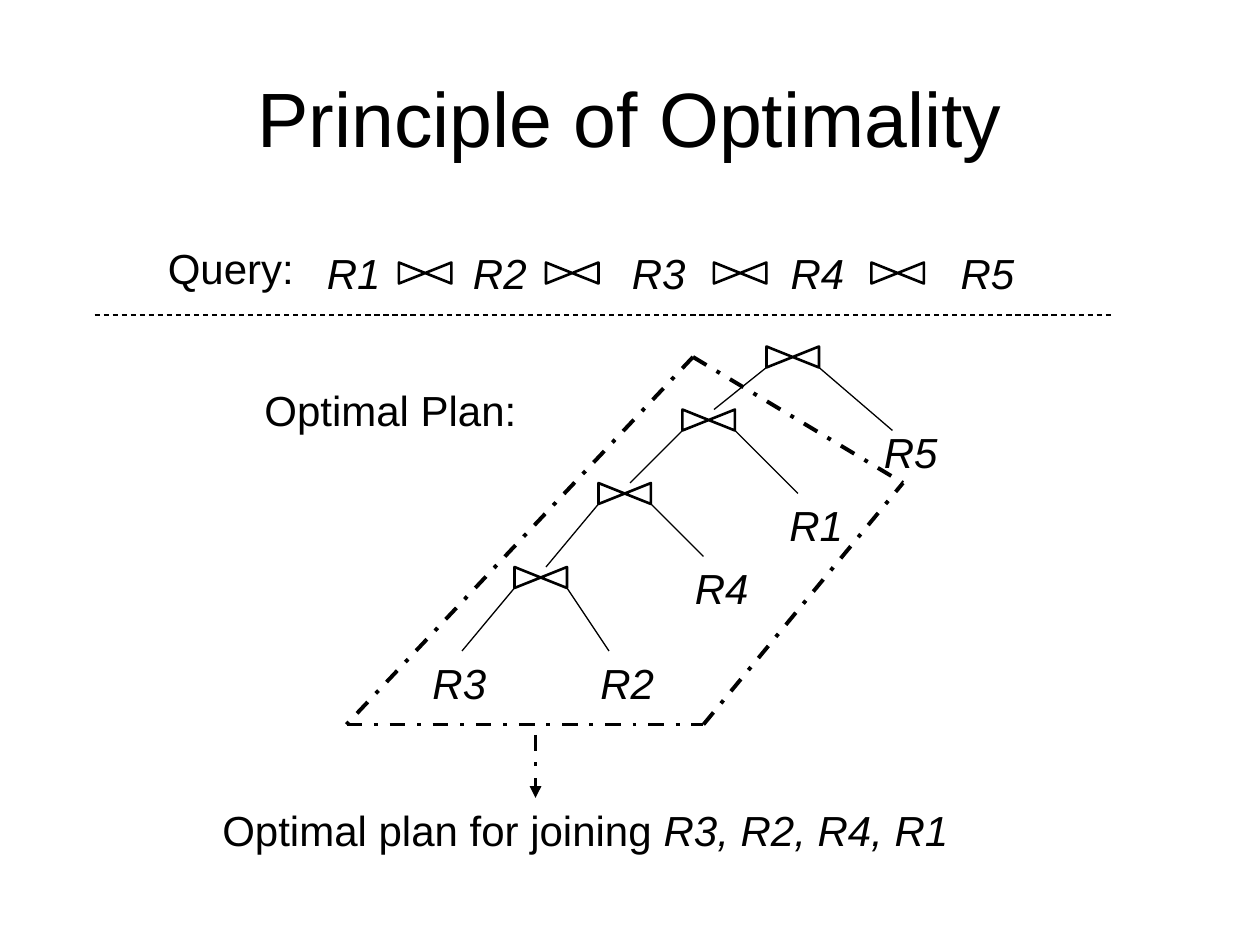
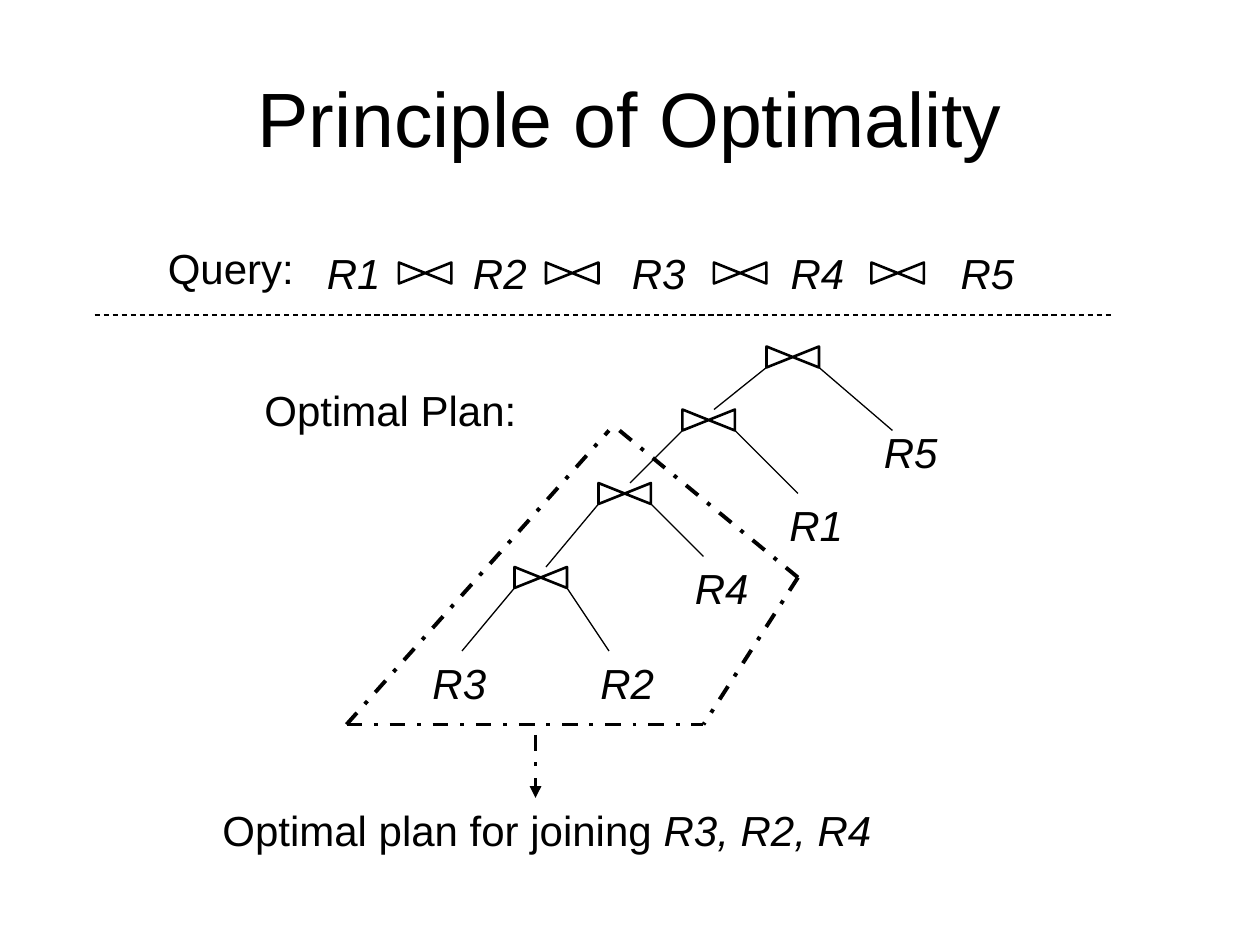
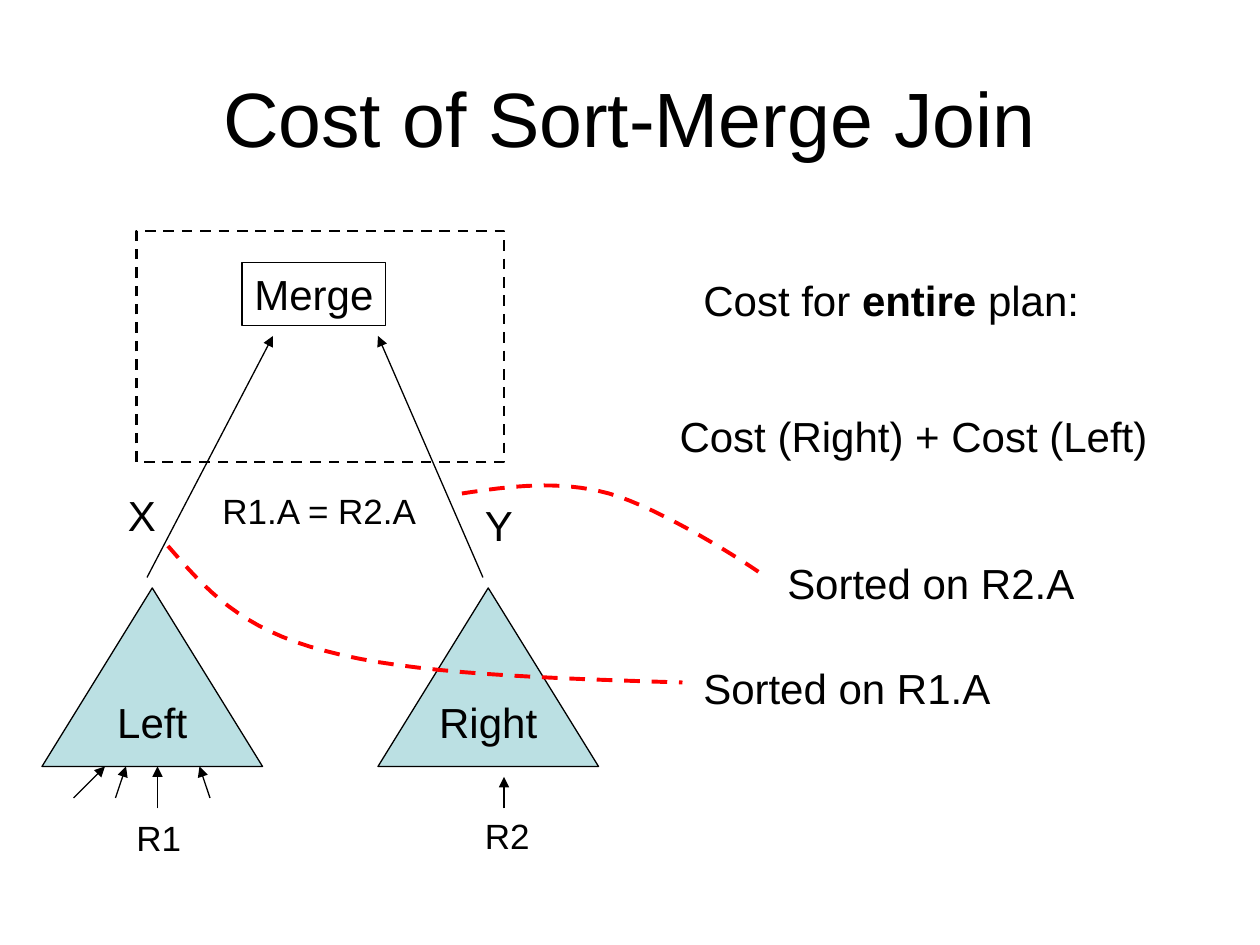
from lxml import etree
from pptx import Presentation
from pptx.dml.color import RGBColor
from pptx.enum.dml import MSO_LINE
from pptx.enum.shapes import MSO_CONNECTOR, MSO_SHAPE
from pptx.enum.text import MSO_ANCHOR, MSO_AUTO_SIZE, PP_ALIGN
from pptx.oxml.ns import qn
from pptx.util import Inches, Pt

BLACK = RGBColor(0, 0, 0)
WHITE = RGBColor(255, 255, 255)
RED = RGBColor(255, 0, 0)
PALE_TEAL = RGBColor(0xBB, 0xE0, 0xE3)
FONT = "Arial"
DASH, DASH_DOT = MSO_LINE.DASH, MSO_LINE.DASH_DOT
STRAIGHT = MSO_CONNECTOR.STRAIGHT
COLLATE, TRIANGLE, RECTANGLE = (
    MSO_SHAPE.FLOWCHART_COLLATE, MSO_SHAPE.ISOSCELES_TRIANGLE, MSO_SHAPE.RECTANGLE)
LEFT, CENTER = PP_ALIGN.LEFT, PP_ALIGN.CENTER
TOP, MIDDLE = MSO_ANCHOR.TOP, MSO_ANCHOR.MIDDLE
FIT_SHAPE = MSO_AUTO_SIZE.SHAPE_TO_FIT_TEXT

CELLS_PER_INCH = 12
JOIN_WIDTH, JOIN_HEIGHT = 5, 2

QUERY_RELATIONS = ["R1", "R2", "R3", "R4", "R5"]
QUERY_TABS = [1.16, 2.42, 3.68, 5.03]
QUERY_JOINS = [(40.5, 26), (54.5, 26), (70.5, 26), (85.5, 26)]
PLAN_JOINS = [(75.5, 34), (67.5, 40), (59.5, 47), (51.5, 55)]
PLAN_RIGHT_ENDS = [(85, 41), (76, 47), (67, 53), (58, 62)]
PLAN_LEFT_LEAF = (44, 62)
PLAN_LEAVES = [("R5", 83, 40), ("R1", 74, 47), ("R4", 65, 53), ("R2", 56, 62), ("R3", 40, 62)]

OPTIMALITY_PAGES = [
    {"joined": "R3, R2, R4, R1", "caption_width": 72,
     "border": [((66, 34), (33, 69)), ((33, 69), (67, 69)),
                ((67, 69), (86, 46)), ((66, 34), (86, 46))]},
    {"joined": "R3, R2, R4", "caption_width": 64.5,
     "border": [((33, 69), (67, 69)), ((33, 69), (58, 41)),
                ((59, 41), (76, 55)), ((76, 55), (67, 69))]},
]

SUBPLANS = [("Right", 36), ("Left", 4)]
MERGE_ARROWS = [
    ((46, 55), (36, 32)), ((14, 55), (26, 32)), ((15, 77), (15, 73)), ((48, 77), (48, 74)),
    ((20, 76), (19, 73)), ((11, 76), (12, 73)), ((7, 76), (10, 73)),
]
MERGE_LABELS = [
    ("X", 11, 46, 5.1, 24), ("Y", 45, 47, 5.1, 24),
    ("R1.A = R2.A", 20, 46, 21.2, 20), ("R1", 11.8, 77.2, 6.8, 20), ("R2", 45, 77, 6.8, 20),
    ("Sorted on R1.A", 65.8, 62.5, 30, 24), ("Sorted on R2.A", 73.8, 52.5, 30, 24),
]
SORT_CURVES = [
    [(16, 52), (19.5, 56), (22.8, 59.9), (31, 62), (39.1, 64.2), (52, 64.6), (65, 65)],
    [(44, 47), (48.6, 46.3), (53.2, 45.7), (58, 47), (62.9, 48.4), (71, 53.5), (73, 55)],
]
CURVE_STEPS = 16


def cells(*counts):
    return [Inches(count / CELLS_PER_INCH) for count in counts]


def add_page(deck, title):
    page = deck.slides.add_slide(deck.slide_layouts[5])
    box = page.shapes.title
    box.left, box.top, box.width, box.height = map(Inches, (0.5, 0.3, 9, 1.25))
    write(box, [(title, "")], 44, CENTER, MIDDLE)
    return page


def write(box, spans, size=24, align=LEFT, anchor=TOP):
    frame = box.text_frame
    frame.vertical_anchor = anchor
    frame.margin_left = frame.margin_right = Inches(0.1)
    frame.margin_top = frame.margin_bottom = Inches(0.05)
    para = frame.paragraphs[0]
    para.alignment = align
    for text, style in spans:
        span = para.add_run()
        span.text = text
        span.font.name, span.font.size = FONT, Pt(size)
        span.font.color.rgb = BLACK
        span.font.bold, span.font.italic = style == "bold", style == "italic"


def add_label(page, spans, column, row, width, size=24, align=LEFT):
    box = page.shapes.add_textbox(*cells(column, row, width, size / 4))
    write(box, spans, size, align)
    box.text_frame.word_wrap = False
    box.text_frame.auto_size = FIT_SHAPE
    return box


def style_line(line, weight, dash=None, color=BLACK):
    line.color.rgb = color
    line.width = Pt(weight)
    if dash:
        line.dash_style = dash


def add_line(page, start, end, weight=0.75, dash=None, arrow=False):
    connector = page.shapes.add_connector(STRAIGHT, *cells(*start, *end))
    style_line(connector.line, weight, dash)
    properties = connector._element.spPr
    if arrow:
        etree.SubElement(connector.line._get_or_add_ln(), qn("a:tailEnd"), type="triangle")
    etree.SubElement(properties, qn("a:effectLst"))


def add_outline(page, kind, bounds, weight, fill=None, dash=None):
    shape = page.shapes.add_shape(kind, *cells(*bounds))
    shape.shadow.inherit = False
    if fill is None:
        shape.fill.background()
    else:
        shape.fill.solid()
        shape.fill.fore_color.rgb = fill
    style_line(shape.line, weight, dash)
    return shape


def add_join(page, column, row):
    bounds = (column - JOIN_HEIGHT / 2, row - JOIN_WIDTH / 2, JOIN_HEIGHT, JOIN_WIDTH)
    add_outline(page, COLLATE, bounds, 1.5, WHITE).rotation = 270


def add_query(page):
    add_label(page, [("Query:", "")], 14.8, 22.5, 15.6)
    box = add_label(page, [("\t".join(QUERY_RELATIONS), "italic")], 29.95, 23, 68)
    box.text_frame.word_wrap = True
    properties = box.text_frame.paragraphs[0]._p.get_or_add_pPr()
    tabs = etree.SubElement(properties, qn("a:tabLst"))
    for position in QUERY_TABS:
        etree.SubElement(tabs, qn("a:tab"), pos=str(Inches(position)), algn="l")
    for join in QUERY_JOINS:
        add_join(page, *join)
    add_line(page, (9, 30), (106, 30), dash=DASH)


def add_plan(page):
    add_label(page, [("Optimal Plan:", "")], 24, 36, 26.5)
    left_ends = [(column + 0.5, row - 1) for column, row in PLAN_JOINS[1:]] + [PLAN_LEFT_LEAF]
    for (column, row), left_end, right_end in zip(PLAN_JOINS, left_ends, PLAN_RIGHT_ENDS):
        add_join(page, column, row)
        add_line(page, (column - JOIN_WIDTH / 2, row + 1), left_end)
        add_line(page, (column + JOIN_WIDTH / 2, row + 1), right_end)
    for name, column, row in PLAN_LEAVES:
        add_label(page, [(name, "italic")], column, row, 7.6)


def add_optimality_page(deck, content):
    page = add_page(deck, "Principle of Optimality")
    add_query(page)
    add_plan(page)
    for start, end in content["border"]:
        add_line(page, start, end, 2.25, DASH_DOT)
    add_label(page, [("Optimal plan for joining ", ""), (content["joined"], "italic")],
              20, 76, content["caption_width"])
    add_line(page, (51, 70), (51, 76), 2.25, DASH_DOT, arrow=True)


def curve_points(controls):
    points = [controls[0]]
    for first in range(0, len(controls) - 1, 3):
        segment = controls[first:first + 4]
        for step in range(1, CURVE_STEPS + 1):
            t = step / CURVE_STEPS
            weights = ((1 - t) ** 3, 3 * t * (1 - t) ** 2, 3 * t * t * (1 - t), t ** 3)
            points.append(tuple(sum(weight * point[axis] for weight, point in zip(weights, segment))
                                for axis in (0, 1)))
    return points


def add_curve(page, controls):
    points = [cells(*point) for point in curve_points(controls)]
    builder = page.shapes.build_freeform(*points[0])
    builder.add_line_segments(points[1:], close=False)
    curve = builder.convert_to_shape()
    curve.shadow.inherit = False
    curve.fill.background()
    style_line(curve.line, 2.25, DASH, RED)


def add_merge_page(deck):
    page = add_page(deck, "Cost of Sort-Merge Join")
    for name, column in SUBPLANS:
        subplan = add_outline(page, TRIANGLE, (column, 56, 21, 17), 0.75, PALE_TEAL)
        write(subplan, [(name, "")], align=CENTER, anchor=MIDDLE)
        subplan.text_frame.word_wrap = False
    merge = add_outline(page, RECTANGLE, (23.05, 25, 13.7, 6), 0.75)
    write(merge, [("Merge", "")])
    merge.text_frame.word_wrap = False
    add_outline(page, RECTANGLE, (13, 22, 35, 22), 1.5, dash=DASH)
    for start, end in MERGE_ARROWS:
        add_line(page, start, end, arrow=True)
    add_label(page, [("Cost for ", ""), ("entire", "bold"), (" plan:", "")], 65.8, 25.55, 38.5)
    add_label(page, [("Cost (Right) + Cost (Left)", "")], 63.3, 38.5, 47.4, align=CENTER)
    for text, column, row, width, size in MERGE_LABELS:
        add_label(page, [(text, "")], column, row, width, size)
    for controls in SORT_CURVES:
        add_curve(page, controls)


def main():
    deck = Presentation()
    deck.slide_width, deck.slide_height = Inches(10), Inches(7.5)
    for content in OPTIMALITY_PAGES:
        add_optimality_page(deck, content)
    add_merge_page(deck)
    deck.save("out.pptx")


if __name__ == "__main__":
    main()
